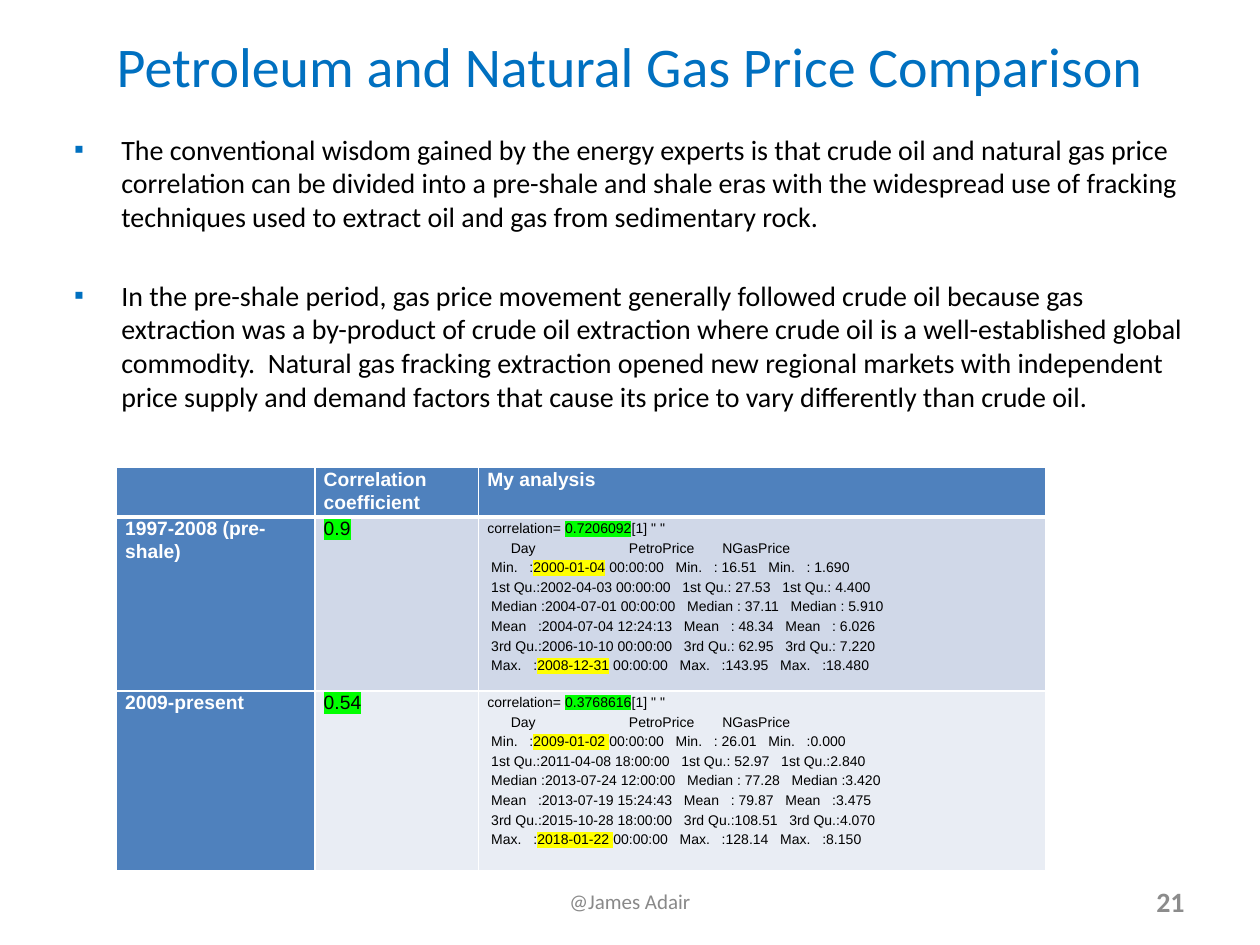
"""Build the slide comparing petroleum and natural gas prices."""
from lxml.etree import SubElement
from pptx import Presentation
from pptx.dml.color import RGBColor
from pptx.enum.text import MSO_ANCHOR, PP_ALIGN
from pptx.oxml.ns import qn
from pptx.util import Pt


class Theme:
    blue, black, white = "0070C0", "000000", "FFFFFF"
    gray, page = "898989", "8C8C8C"
    head, bands = "4F81BD", ("D0D8E8", "E9EDF4")
    green, yellow = "00FF00", "FFFF00"
    sans, cell = "Calibri", "Arial"
    title, body, foot, label, code = 32, 16, 12, 11, 8


def write(para, text, size=Theme.label, color=Theme.black, face=Theme.cell,
          bold=False, mark=None):
    run = para.add_run()
    run.text = text
    font = run.font
    font.size, font.bold = Pt(size), bold
    font.color.rgb = RGBColor.from_string(color)
    if mark:
        light = SubElement(font._element, qn("a:highlight"))
        SubElement(light, qn("a:srgbClr"), val=mark)
    font.name = face


def frame(left, top, width, height, anchor=MSO_ANCHOR.MIDDLE):
    box = slide.shapes.add_textbox(Pt(left), Pt(top), Pt(width), Pt(height)).text_frame
    box.word_wrap = True
    box.vertical_anchor = anchor
    return box


deck = Presentation()
deck.slide_width, deck.slide_height = Pt(720), Pt(540)
slide = deck.slides.add_slide(deck.slide_layouts[6])

lines = [
    ((36, 9.4, 648, 56), PP_ALIGN.CENTER, "Petroleum and Natural Gas Price Comparison",
     dict(size=Theme.title, color=Theme.blue)),
    ((246, 500.4, 228, 28.8), PP_ALIGN.CENTER, "@James Adair",
     dict(size=Theme.foot, color=Theme.gray)),
    ((516, 500.4, 168, 28.8), PP_ALIGN.RIGHT, "21",
     dict(size=Theme.body, color=Theme.page, bold=True)),
]
for place, align, text, form in lines:
    para = frame(*place).paragraphs[0]
    para.alignment = align
    write(para, text, face=Theme.sans, **form)

points = [
    "The conventional wisdom gained by the energy experts is that crude oil and "
    "natural gas price correlation can be divided into a pre-shale and shale eras "
    "with the widespread use of fracking techniques used to extract oil and gas "
    "from sedimentary rock.",
    "In the pre-shale period, gas price movement generally followed crude oil "
    "because gas extraction was a by-product of crude oil extraction where crude "
    "oil is a well-established global commodity.  Natural gas fracking extraction "
    "opened new regional markets with independent price supply and demand factors "
    "that cause its price to vary differently than crude oil.",
]
body = frame(35.3, 72, 648, 200, MSO_ANCHOR.TOP)
for i, text in enumerate(points):
    para = body.add_paragraph() if i else body.paragraphs[0]
    para.space_before = Pt(26 * i)
    props = para._p.get_or_add_pPr()
    props.set("marL", str(Pt(27)))
    props.set("indent", str(Pt(-27)))
    SubElement(SubElement(props, qn("a:buClr")), qn("a:srgbClr"), val=Theme.blue)
    SubElement(props, qn("a:buFont"), typeface=Theme.cell)
    SubElement(props, qn("a:buChar"), char="▪")
    write(para, text, size=Theme.body, face=Theme.sans)

names = "\tDay\tPetroPrice\tNGasPrice"
stats = [
    ["correlation= |0.7206092|[1] \" \"", names,
     " Min.   :|2000-01-04| 00:00:00   Min.   : 16.51   Min.   : 1.690",
     " 1st Qu.:2002-04-03 00:00:00   1st Qu.: 27.53   1st Qu.: 4.400",
     " Median :2004-07-01 00:00:00   Median : 37.11   Median : 5.910",
     " Mean   :2004-07-04 12:24:13   Mean   : 48.34   Mean   : 6.026",
     " 3rd Qu.:2006-10-10 00:00:00   3rd Qu.: 62.95   3rd Qu.: 7.220",
     " Max.   :|2008-12-31| 00:00:00   Max.   :143.95   Max.   :18.480"],
    ["correlation= |0.3768616|[1] \" \"", names,
     " Min.   :|2009-01-02 |00:00:00   Min.   : 26.01   Min.   :0.000",
     " 1st Qu.:2011-04-08 18:00:00   1st Qu.: 52.97   1st Qu.:2.840",
     " Median :2013-07-24 12:00:00   Median : 77.28   Median :3.420",
     " Mean   :2013-07-19 15:24:43   Mean   : 79.87   Mean   :3.475",
     " 3rd Qu.:2015-10-28 18:00:00   3rd Qu.:108.51   3rd Qu.:4.070",
     " Max.   :|2018-01-22 |00:00:00   Max.   :128.14   Max.   :8.150"],
]
rows = [
    ["", "Correlation coefficient", "My analysis"],
    ["1997-2008 (pre-shale)", "0.9", stats[0]],
    ["2009-present", "0.54", stats[1]],
]
grid = slide.shapes.add_table(3, 3, Pt(66.5), Pt(267.1), Pt(531), Pt(228)).table
grid.first_row = grid.horz_banding = False
for col, width in zip(grid.columns, (113.5, 93.5, 324)):
    col.width = Pt(width)
for row, height in zip(grid.rows, (25.8, 99.4, 102.8)):
    row.height = Pt(height)

for r, row in enumerate(rows):
    for c, text in enumerate(row):
        cell = grid.cell(r, c)
        cell.margin_left = cell.margin_right = Pt(5)
        cell.margin_top = cell.margin_bottom = 0
        props = cell._tc.get_or_add_tcPr()
        for side in "LRTB":
            thick = (r, side) in ((0, "B"), (1, "T"))
            edge = SubElement(props, qn(f"a:ln{side}"), w=str(Pt(3 if thick else 1)))
            SubElement(SubElement(edge, qn("a:solidFill")), qn("a:srgbClr"), val=Theme.white)
        head = r == 0 or c == 0
        cell.fill.solid()
        cell.fill.fore_color.rgb = RGBColor.from_string(
            Theme.head if head else Theme.bands[r - 1])
        para = cell.text_frame.paragraphs[0]
        if isinstance(text, str):
            para.line_spacing, para.space_after = 1.07, Pt(3)
            if head and text:
                write(para, text, color=Theme.white, bold=True)
            elif text:
                write(para, text, mark=Theme.green)
            continue
        for i, line in enumerate(text):
            if i:
                para = cell.text_frame.add_paragraph()
            para.line_spacing = Pt(11.2)
            if line == names:
                tabs = SubElement(para._p.get_or_add_pPr(), qn("a:tabLst"))
                for stop in (13.4, 80.9, 134.3):
                    SubElement(tabs, qn("a:tab"), pos=str(Pt(stop)), algn="l")
            tint = Theme.yellow if i else Theme.green
            for k, part in enumerate(line.split("|")):
                write(para, part, size=Theme.code, mark=tint if k % 2 else None)

deck.save("out.pptx")
